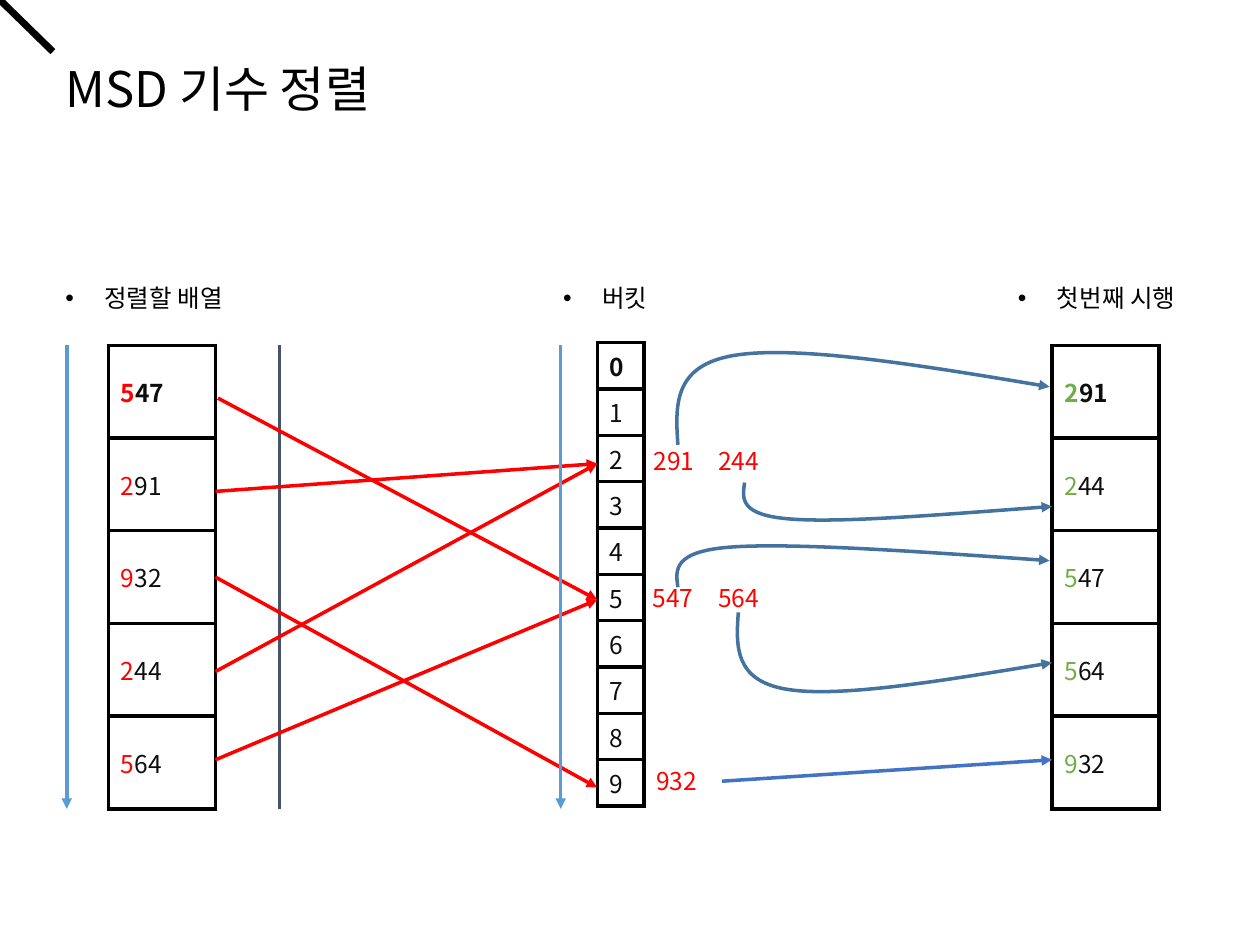
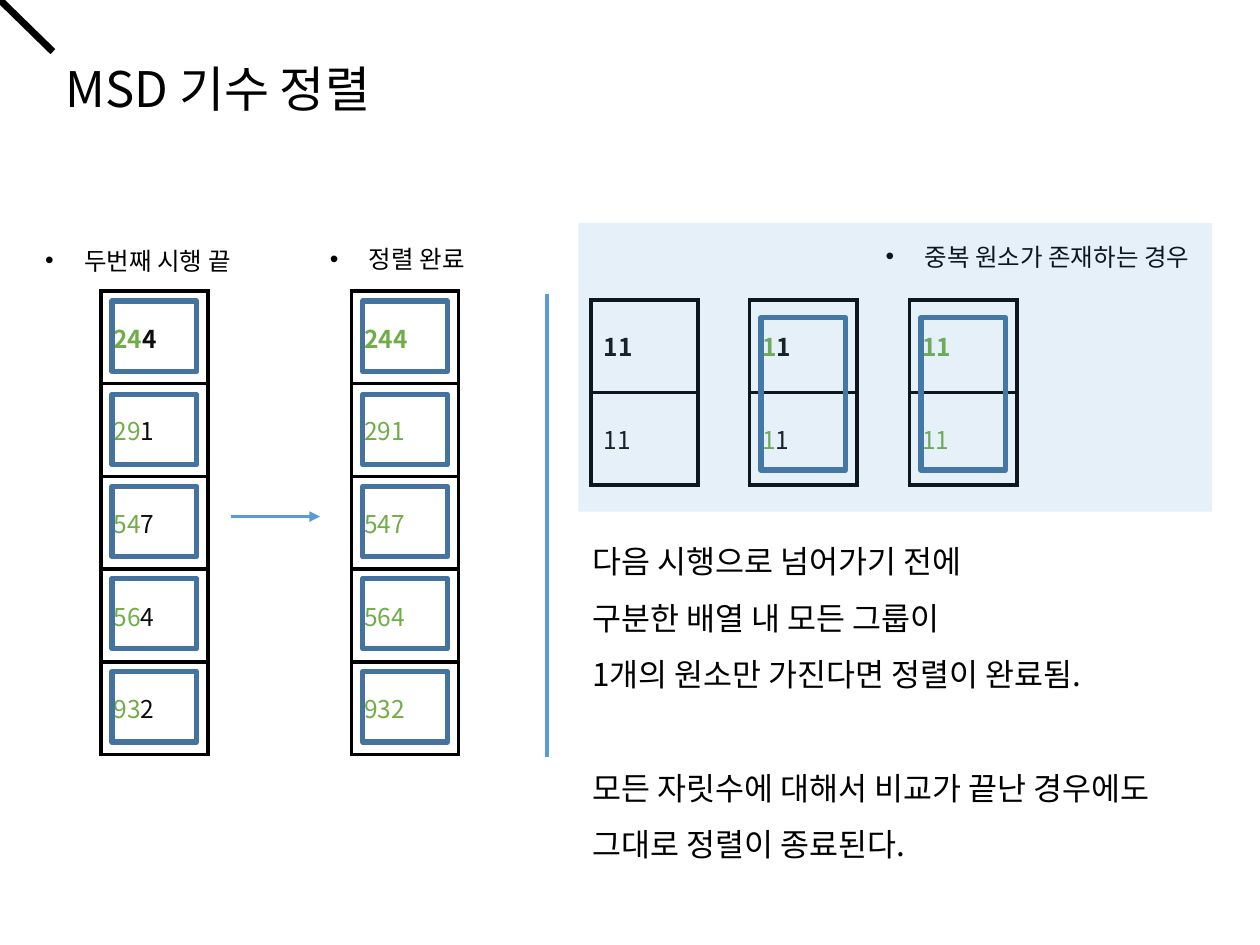
"""Build two slides that explain MSD radix sort."""
import dataclasses

import lxml.etree
import pptx
import pptx.dml.color
import pptx.enum.shapes
import pptx.enum.text
import pptx.oxml.ns
import pptx.util

SCALE = 9144
qn = pptx.oxml.ns.qn


@dataclasses.dataclass(frozen=True)
class Theme:
    """Colours, font and type sizes shared by the slides."""
    font: str = "Noto Sans CJK KR"
    title_size: int = 28
    body_size: int = 18
    label_size: int = 14
    black: str = "000000"
    ink: str = "0D0D0D"
    paper: str = "FFFFFF"
    red: str = "FF0000"
    green: str = "70AD47"
    slate: str = "44546A"
    sky: str = "5B9BD5"
    steel: str = "43739E"
    blue: str = "4472C4"


THEME = Theme()
TITLE = "MSD 기수 정렬"


def px(*lengths):
    """Turn px lengths into EMU."""
    return [pptx.util.Emu(length * SCALE) for length in lengths]


def rgb(colour):
    """Return the colour object for a hex string."""
    return pptx.dml.color.RGBColor.from_string(colour)


def add_run(paragraph, words, size, colour, bold=False):
    """Append one formatted run."""
    run = paragraph.add_run()
    run.text = words
    run.font.size = pptx.util.Pt(size)
    run.font.bold = bold
    run.font.name = THEME.font
    run.font.color.rgb = rgb(colour)
    latin = run.font._element.find(qn("a:latin"))
    east_asian = lxml.etree.Element(qn("a:ea"), typeface=THEME.font)
    latin.addnext(east_asian)


def set_bullet(paragraph, indent, mark=None):
    """Give a paragraph a hanging bullet, or none."""
    properties = paragraph._p.get_or_add_pPr()
    margin = px(indent)[0]
    properties.set("marL", str(margin))
    properties.set("indent", str(-margin))
    if mark:
        lxml.etree.SubElement(properties, qn("a:buFont"), typeface="Arial")
        lxml.etree.SubElement(properties, qn("a:buChar"), char=mark)
    else:
        lxml.etree.SubElement(properties, qn("a:buNone"))


def place(placeholder, box):
    """Move a placeholder and return its text frame."""
    placeholder.left, placeholder.top, placeholder.width, placeholder.height = px(*box)
    frame = placeholder.text_frame
    frame.auto_size = pptx.enum.text.MSO_AUTO_SIZE.NONE
    frame.word_wrap = True
    return frame


def style_line(shape, colour, width, arrow=False):
    """Set line colour, width and an optional arrowhead."""
    shape.line.color.rgb = rgb(colour)
    shape.line.width = pptx.util.Pt(width)
    if arrow:
        lxml.etree.SubElement(shape.line._get_or_add_ln(), qn("a:tailEnd"), type="triangle")


def add_line(slide, start, end, colour, width=2, arrow=True):
    """Draw a straight line, by default with an arrowhead."""
    kind = pptx.enum.shapes.MSO_CONNECTOR.STRAIGHT
    line = slide.shapes.add_connector(kind, *px(*start, *end))
    style_line(line, colour, width, arrow)
    lxml.etree.SubElement(line._element.spPr, qn("a:effectLst"))


def start_slide(deck, layout):
    """Add a slide with the shared title and corner stroke."""
    slide = deck.slides.add_slide(deck.slide_layouts[layout])
    frame = place(slide.shapes.title, (42, 41, 284, 57))
    frame.vertical_anchor = pptx.enum.text.MSO_ANCHOR.MIDDLE
    heading = frame.paragraphs[0]
    heading.alignment = pptx.enum.text.PP_ALIGN.LEFT
    add_run(heading, TITLE, THEME.title_size, THEME.black)
    add_line(slide, (0, 0), (42, 41), THEME.black, 4, arrow=False)
    return slide


def add_label(slide, left, top, width, words, colour=THEME.black, bullet=None):
    """Add a one-line label."""
    frame = slide.shapes.add_textbox(*px(left, top, width, 34)).text_frame
    frame.word_wrap = True
    paragraph = frame.paragraphs[0]
    if bullet:
        set_bullet(paragraph, 31, bullet)
    add_run(paragraph, words, THEME.label_size, colour)


def add_array(slide, left, top, width, height, numbers, sorted_digits=0, mark=THEME.green):
    """Draw a one-column array whose leading digits are coloured."""
    table = slide.shapes.add_table(len(numbers), 1, *px(left, top, width, height)).table
    for index, number in enumerate(numbers):
        table.rows[index].height = px(height)[0] // len(numbers)
        cell = table.cell(index, 0)
        cell.vertical_anchor = pptx.enum.text.MSO_ANCHOR.MIDDLE
        cell.margin_top = cell.margin_bottom = px(3)[0]
        paragraph = cell.text_frame.paragraphs[0]
        parts = (number[:sorted_digits], mark), (number[sorted_digits:], THEME.ink)
        for digits, colour in parts:
            if digits:
                add_run(paragraph, digits, THEME.label_size, colour, bold=index == 0)
        add_borders(cell)
        cell.fill.solid()
        cell.fill.fore_color.rgb = rgb(THEME.paper)


def add_borders(cell):
    """Draw black borders on all sides of a cell."""
    properties = cell._tc.get_or_add_tcPr()
    for side in ("lnL", "lnR", "lnT", "lnB"):
        border = lxml.etree.SubElement(properties, qn(f"a:{side}"), w=str(pptx.util.Pt(2.25)))
        fill = lxml.etree.SubElement(border, qn("a:solidFill"))
        lxml.etree.SubElement(fill, qn("a:srgbClr"), val=THEME.black)


def add_curve(slide, start, pull, bend, end):
    """Draw a smooth curved arrow through a bend."""
    def midpoint(first, second):
        return tuple((a + b) / 2 for a, b in zip(first, second))

    push = tuple(2 * b - p for b, p in zip(bend, pull))
    points = [midpoint(start, pull), pull, bend, push, midpoint(push, end), end]
    builder = slide.shapes.build_freeform(*start, scale=SCALE)
    builder.add_line_segments(points, close=False)
    curve = builder.convert_to_shape()
    segments = list(curve._element.iter(qn("a:lnTo")))
    for first in range(0, len(segments), 3):
        cubic = lxml.etree.Element(qn("a:cubicBezTo"))
        segments[first].addprevious(cubic)
        for segment in segments[first:first + 3]:
            cubic.append(segment[0])
            segment.getparent().remove(segment)
    curve.fill.background()
    curve.shadow.inherit = False
    style_line(curve, THEME.steel, 2, arrow=True)


def add_rectangle(slide, *box):
    """Add a plain rectangle without shadow."""
    kind = pptx.enum.shapes.MSO_SHAPE.RECTANGLE
    rectangle = slide.shapes.add_shape(kind, *px(*box))
    rectangle.shadow.inherit = False
    return rectangle


def add_group_frame(slide, left, top, height):
    """Outline a group of elements with equal digits."""
    outline = add_rectangle(slide, left, top, 67, height)
    outline.fill.background()
    style_line(outline, THEME.steel, 3)


def add_tint(slide, *box):
    """Lay a translucent panel over the slide."""
    panel = add_rectangle(slide, *box)
    panel.line.fill.background()
    panel.fill.solid()
    panel.fill.fore_color.rgb = rgb(THEME.sky)
    colour = panel._element.spPr.find(qn("a:solidFill"))[0]
    lxml.etree.SubElement(colour, qn("a:alpha"), val="15000")


def add_conclusion(slide, box, groups, gap):
    """Fill the body placeholder with groups of lines."""
    frame = place(slide.placeholders[1], box)
    paragraph = frame.paragraphs[0]
    for group_index, lines in enumerate(groups):
        for line_index, words in enumerate(lines):
            if group_index or line_index:
                paragraph = frame.add_paragraph()
            set_bullet(paragraph, 0)
            opens_group = group_index and not line_index
            paragraph.space_before = pptx.util.Pt(gap if opens_group else 0)
            paragraph.line_spacing = 1.5
            add_run(paragraph, words, THEME.body_size, THEME.black)


def build_first_pass(deck):
    """Show the distribution into buckets and the first pass."""
    slide = start_slide(deck, 5)
    add_array(slide, 835, 274, 85, 368, ["291", "244", "547", "564", "932"], 1)
    add_array(slide, 474, 272, 37, 368, [str(digit) for digit in range(10)])
    add_array(slide, 86, 274, 85, 368, ["547", "291", "932", "244", "564"], 1, THEME.red)
    add_line(slide, (222, 274), (222, 642), THEME.slate, 1.75, arrow=False)
    for left, width, words in ((42, 150, "정렬할 배열"), (798, 154, "첫번째 시행"), (437, 89, "버킷")):
        add_label(slide, left, 220, width, words, bullet="•")

    bucket_y = {2: 368, 5: 476, 9: 625}
    moves = ((173, 316, 5), (171, 390, 2), (171, 458, 9), (171, 533, 2), (171, 603, 5))
    for x, y, bucket in moves:
        add_line(slide, (x, y), (474, bucket_y[bucket]), THEME.red)
    for x in (53, 445):
        add_line(slide, (x, 274), (x, 642), THEME.sky)

    bucketed = ((508, 458, "547"), (560, 458, "564"), (509, 349, "291"),
                (560, 349, "244"), (511, 603, "932"))
    for left, top, number in bucketed:
        add_label(slide, left, top, 62, number, THEME.red)

    add_curve(slide, (538, 353), (534, 290), (583, 282), (833, 307))
    add_curve(slide, (591, 383), (587, 409), (628, 412), (835, 402))
    add_curve(slide, (538, 466), (534, 437), (583, 434), (833, 445))
    add_curve(slide, (586, 486), (583, 540), (624, 547), (835, 526))
    add_line(slide, (573, 620), (835, 603), THEME.blue)


def build_result(deck):
    """Show the finished sort and the case of equal elements."""
    slide = start_slide(deck, 1)
    ordered = ["244", "291", "547", "564", "932"]
    stages = ((80, 2, 26, 190, 179, "두번째 시행 끝"), (279, 3, 252, 189, 137, "정렬 완료"))
    for left, sorted_digits, label_left, label_top, label_width, words in stages:
        add_array(slide, left, 231, 85, 368, ordered, sorted_digits)
        add_label(slide, label_left, label_top, label_width, words, bullet="•")
        for index in range(len(ordered)):
            add_group_frame(slide, left + 9, 239 + round(73.5 * index), 56)
    add_line(slide, (183, 410), (254, 410), THEME.sky)
    add_line(slide, (434, 233), (434, 601), THEME.sky, arrow=False)

    add_conclusion(slide, (460, 410, 483, 283), (
        ("다음 시행으로 넘어가기 전에",
         "구분한 배열 내 모든 그룹이",
         "1개의 원소만 가진다면 정렬이 완료됨."),
        ("모든 자릿수에 대해서 비교가 끝난 경우에도",
         "그대로 정렬이 종료된다."),
    ), gap=32.5)

    for sorted_digits, left in enumerate((469, 595, 722)):
        add_array(slide, left, 238, 85, 147, ["11", "11"], sorted_digits)
        if sorted_digits:
            add_group_frame(slide, left + 9, 252, 121)
    add_label(slide, 693, 187, 277, "중복 원소가 존재하는 경우", bullet="•")
    add_tint(slide, 459, 177, 503, 229)


def main():
    """Build and save the deck."""
    deck = pptx.Presentation()
    deck.slide_width, deck.slide_height = px(1000, 750)
    build_first_pass(deck)
    build_result(deck)
    deck.save("out.pptx")


if __name__ == "__main__":
    main()
